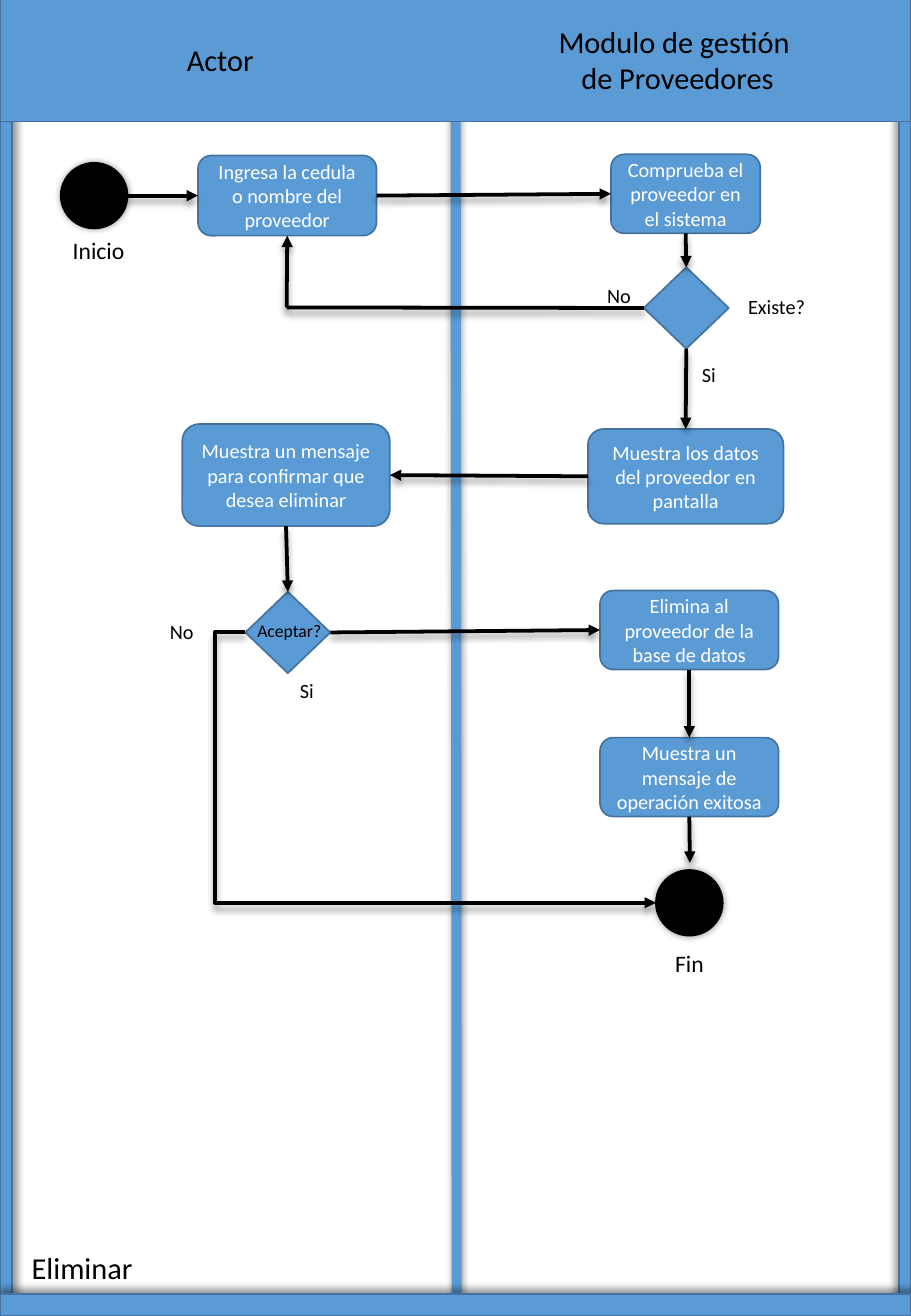
"""Build the swimlane activity diagram for deleting a supplier."""
from lxml import etree
from pptx import Presentation
from pptx.dml.color import RGBColor
from pptx.enum import shapes, text
from pptx.oxml import ns
from pptx.util import Inches, Pt

BLUE, EDGE, BLACK, WHITE = "5B9BD5", "43739E", "000000", "FFFFFF"
SHAPE = shapes.MSO_SHAPE
LINK = shapes.MSO_CONNECTOR
TOP, LEFT, BOTTOM, RIGHT = range(4)

DIVIDER = ((3.75, -0.01), (3.76, 10.84))
FRAME = [
    ((0, 0, 0.1, 10.83), 45),
    ((7.4, 0.01, 0.1, 10.83), 225),
    ((0, 10.65, 7.5, 0.18), 270),
    ((0, -0.02, 7.5, 1.02), None),
]
STEPS = {
    "enter": ((1.63, 1.28, 1.47, 0.66), "Ingresa la cedula o nombre del proveedor"),
    "check": ((5.03, 1.27, 1.23, 0.65), "Comprueba el proveedor en el sistema"),
    "show": ((4.84, 3.53, 1.61, 0.78), "Muestra los datos del proveedor en pantalla"),
    "confirm": ((1.5, 3.49, 1.71, 0.84), "Muestra un mensaje para confirmar que desea eliminar"),
    "delete": ((4.94, 4.86, 1.47, 0.65), "Elimina al proveedor de la base de datos"),
    "done": ((4.94, 6.07, 1.47, 0.65), "Muestra un mensaje de operación exitosa"),
}
DECISIONS = {"exists": (5.3, 2.2), "accept": (2.02, 4.87)}
CIRCLES = [(0.5, 1.34), (5.4, 7.16)]
LABELS = [
    ((1.44, 0.29, 0.76, 0.4), "Actor", 18),
    ((4.5, 0.14, 2.13, 0.71), "Modulo de gestión\n de Proveedores", 18),
    ((0.5, 1.89, 0.63, 0.34), "Inicio", 14),
    ((5.46, 7.76, 0.44, 0.34), "Fin", 14),
    ((6.06, 2.37, 0.68, 0.3), "Existe?", 12),
    ((4.9, 2.28, 0.4, 0.3), "No", 12),
    ((5.68, 2.93, 0.32, 0.3), "Si", 12),
    ((2.02, 5.05, 0.76, 0.29), "Aceptar?", 10.5),
    ((1.3, 5.05, 0.4, 0.3), "No", 12),
    ((2.37, 5.53, 0.32, 0.3), "Si", 12),
]
TITLE = ((0.16, 10.23, 1.04, 0.4), "Eliminar", 18)
CORNER = (2.36, 2.53)
ARROWS = [
    ((1.05, 1.61), ("enter", LEFT)),
    (("enter", RIGHT), ("check", LEFT)),
    (("check", BOTTOM), ("exists", TOP)),
    (CORNER, ("enter", BOTTOM)),
    (("exists", BOTTOM), ("show", TOP)),
    (("show", LEFT), ("confirm", RIGHT)),
    (("confirm", BOTTOM), ("accept", TOP)),
    (("accept", RIGHT), ("delete", LEFT)),
    (("delete", BOTTOM), ("done", TOP)),
    (("done", BOTTOM), (5.68, 7.1)),
]
CANCEL = ((2.02, 5.2), (5.4, 7.43))
CANCEL_BEND = -7400


def color(value):
    return RGBColor.from_string(value)


def add_child(parent, tag, **attributes):
    return etree.SubElement(parent, ns.qn(tag), attributes)


def add_shadow(item, angle, distance=3):
    properties = item._element.spPr
    effects = properties.find(ns.qn("a:effectLst"))
    if effects is None:
        effects = add_child(properties, "a:effectLst")
    outer = add_child(effects, "a:outerShdw", blurRad=str(Pt(4)), dist=str(Pt(distance)),
                      dir=str(angle * 60000), algn="ctr", rotWithShape="0")
    add_child(add_child(outer, "a:srgbClr", val=BLACK), "a:alpha", val="40000")


def write(box, words, size, ink, align=None):
    frame = box.text_frame
    frame.text = words
    for para in frame.paragraphs:
        para.alignment = align
        for span in para.runs:
            span.font.size = Pt(size)
            span.font.name = "Calibri"
            span.font.color.rgb = color(ink)


def fit_label(box, words, size):
    write(box, words, size, BLACK, text.PP_ALIGN.LEFT)
    frame = box.text_frame
    frame.word_wrap = False
    frame.auto_size = text.MSO_AUTO_SIZE.SHAPE_TO_FIT_TEXT
    frame.vertical_anchor = text.MSO_ANCHOR.TOP
    for para in frame.paragraphs[1:]:
        para.alignment = text.PP_ALIGN.CENTER


def add_block(page, kind, place, fill=BLUE, edge=EDGE):
    block = page.shapes.add_shape(kind, *map(Inches, place))
    block.shadow.inherit = False
    block.fill.solid()
    block.fill.fore_color.rgb = color(fill)
    block.line.color.rgb = color(edge)
    block.line.width = Pt(1)
    return block


def add_line(page, points, nodes, kind=LINK.STRAIGHT, ink=BLACK, width=2.25, angle=90, arrow=True):
    ends = [(0, 0) if point[0] in nodes else point for point in points]
    line = page.shapes.add_connector(kind, *[Inches(value) for end in ends for value in end])
    for point, connect in zip(points, (line.begin_connect, line.end_connect)):
        if point[0] in nodes:
            connect(nodes[point[0]], point[1])
    line.line.color.rgb = color(ink)
    line.line.width = Pt(width)
    if arrow:
        add_child(line.line._get_or_add_ln(), "a:tailEnd", type="triangle")
    add_shadow(line, angle)
    return line


def main():
    deck = Presentation()
    deck.slide_width, deck.slide_height = Inches(7.5), Inches(10.83)
    page = deck.slides.add_slide(deck.slide_layouts[5])

    add_line(page, DIVIDER, {}, ink=BLUE, width=6, angle=270, arrow=False)
    for place, angle in FRAME:
        bar = add_block(page, SHAPE.RECTANGLE, place)
        if angle is not None:
            add_shadow(bar, angle)

    nodes = {}
    for name, (place, words) in STEPS.items():
        nodes[name] = add_block(page, SHAPE.ROUNDED_RECTANGLE, place)
        nodes[name].text_frame.vertical_anchor = text.MSO_ANCHOR.MIDDLE
        write(nodes[name], words, 12, WHITE, text.PP_ALIGN.CENTER)
    for name, corner in DECISIONS.items():
        nodes[name] = add_block(page, SHAPE.FLOWCHART_DECISION, (*corner, 0.7, 0.67))
    for corner in CIRCLES:
        add_shadow(add_block(page, SHAPE.OVAL, (*corner, 0.55, 0.54), BLACK, BLACK), 0, 0)

    for points in ARROWS:
        add_line(page, points, nodes)
    add_line(page, (("exists", LEFT), CORNER), nodes, arrow=False)
    cancel = add_line(page, CANCEL, nodes, LINK.ELBOW)
    guides = cancel._element.spPr.find(ns.qn("a:prstGeom")).find(ns.qn("a:avLst"))
    add_child(guides, "a:gd", name="adj1", fmla=f"val {CANCEL_BEND}")

    for place, words, size in LABELS:
        fit_label(page.shapes.add_textbox(*map(Inches, place)), words, size)
    place, words, size = TITLE
    title = page.shapes.title
    title.left, title.top, title.width, title.height = map(Inches, place)
    fit_label(title, words, size)

    deck.save("out.pptx")


if __name__ == "__main__":
    main()
